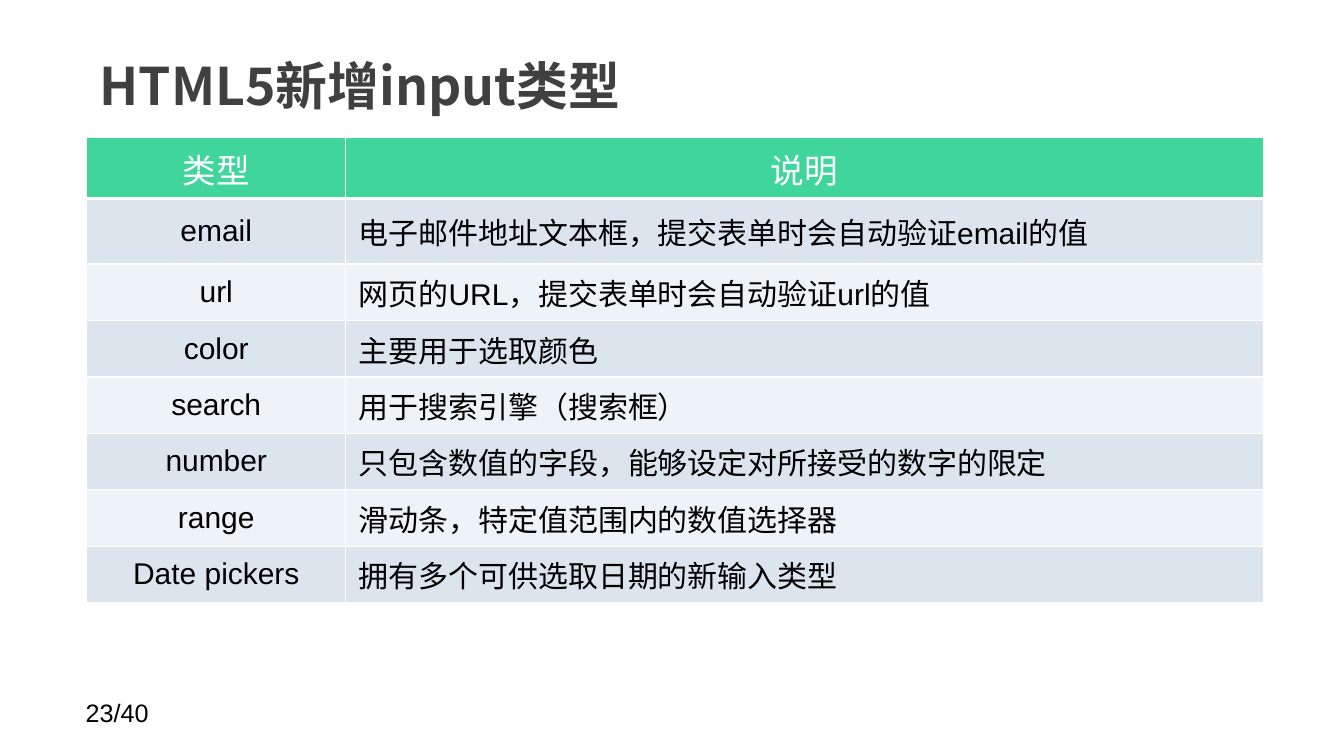
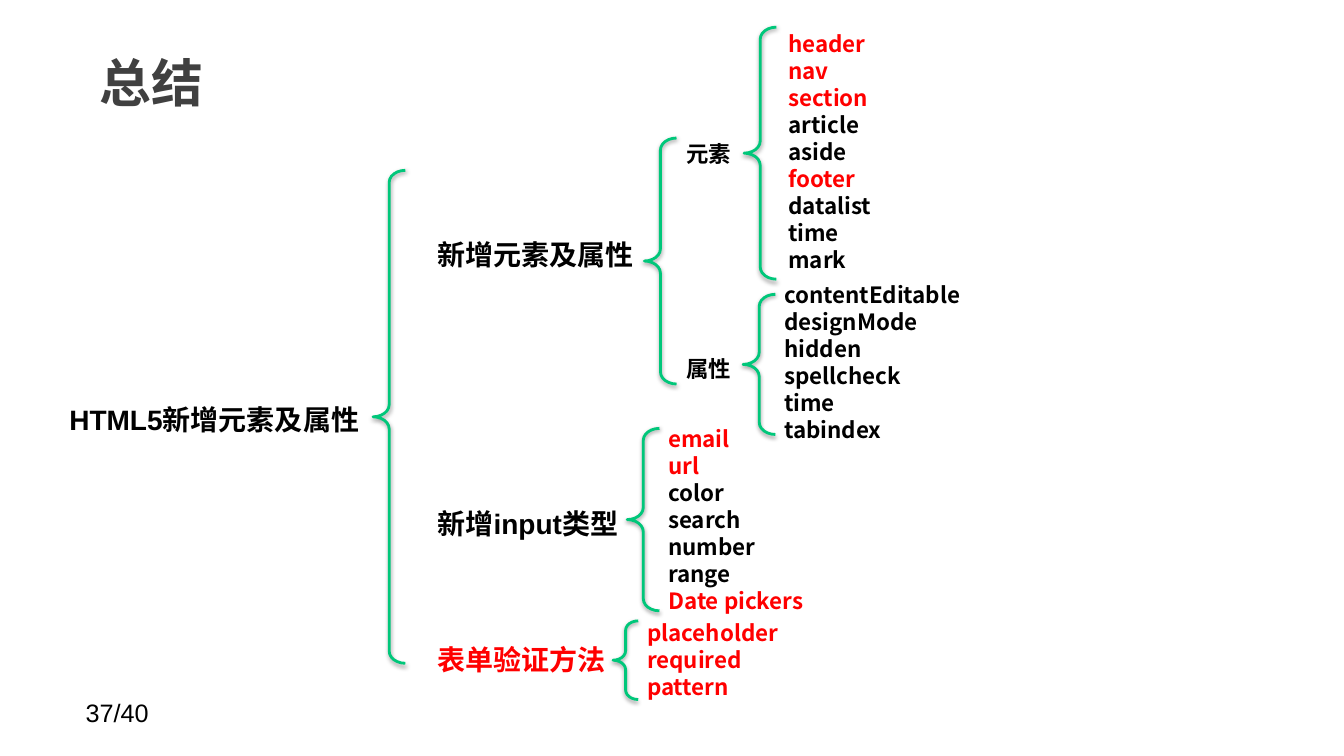
from lxml.etree import SubElement
from pptx import Presentation
from pptx.dml.color import RGBColor
from pptx.enum.shapes import MSO_SHAPE
from pptx.enum.text import MSO_ANCHOR, PP_ALIGN
from pptx.oxml.ns import qn
from pptx.util import Inches, Pt

# Shared style
LATIN, CJK = "Arial", "Noto Sans CJK SC"
BLACK, WHITE, RED, GREY = "000000", "FFFFFF", "FF0000", "404040"
GREEN, HEADER_GREEN = "00C77A", "40D59B"
BANDS = ("DCE5EE", "EEF3F7")
TITLE = {"size": Pt(37), "name": CJK, "bold": True, "color": GREY}
FOOTER = {"size": Pt(18), "name": LATIN, "color": BLACK}
TABLE_HEAD = {"size": Pt(24), "name": CJK, "color": WHITE}
TABLE_BODY = {"size": Pt(21.4), "name": LATIN, "color": BLACK}
BRANCH = {"size": Pt(20), "name": LATIN, "bold": True, "color": BLACK}
GROUP = {"size": Pt(16), "name": LATIN, "bold": True, "color": BLACK}
LEAF = {"size": Pt(16), "name": CJK, "bold": True, "color": BLACK}
LINE_HEIGHTS = {Pt(20): Pt(24), Pt(16): Pt(19.3)}

# Slide content
INPUT_TYPES = [
    ("类型", "说明"),
    ("email", "电子邮件地址文本框，提交表单时会自动验证email的值"),
    ("url", "网页的URL，提交表单时会自动验证url的值"),
    ("color", "主要用于选取颜色"),
    ("search", "用于搜索引擎（搜索框）"),
    ("number", "只包含数值的字段，能够设定对所接受的数字的限定"),
    ("range", "滑动条，特定值范围内的数值选择器"),
    ("Date pickers", "拥有多个可供选取日期的新输入类型"),
]
KEY_POINTS = {"header", "nav", "section", "footer", "email", "url", "Date pickers",
              "表单验证方法", "placeholder", "required", "pattern"}
LABELS = [  # left, top, width, style, text
    (0.48, 3.94, 3.29, BRANCH, "HTML5新增元素及属性"),
    (4.24, 2.31, 2.4, BRANCH, "新增元素及属性"),
    (4.24, 4.98, 2.4, BRANCH, "新增input类型"),
    (4.24, 6.32, 2.4, BRANCH, "表单验证方法"),
    (6.71, 1.34, 0.8, GROUP, "元素"),
    (6.71, 3.47, 0.8, GROUP, "属性"),
]
LEAVES = [  # left, top, items
    (7.72, 0.25, "header,nav,section,article,aside,footer,datalist,time,mark"),
    (7.68, 2.74, "contentEditable,designMode,hidden,spellcheck,time,tabindex"),
    (6.53, 4.17, "email,url,color,search,number,range,Date pickers"),
    (6.32, 6.09, "placeholder,required,pattern"),
]
BRACES = [  # left, top, width, height
    (3.7, 1.69, 0.32, 4.89),
    (6.39, 1.37, 0.32, 2.44),
    (7.38, 0.27, 0.32, 2.5),
    (7.37, 2.92, 0.32, 1.39),
    (6.22, 4.25, 0.32, 1.81),
    (6.08, 6.16, 0.25, 0.78),
]


def rgb(value):
    return RGBColor.from_string(value)


def set_attributes(target, values):
    for name, value in values.items():
        setattr(target, name, value)


class Deck:
    def __init__(self):
        self.presentation = Presentation()
        self.presentation.slide_width = Inches(13.33)
        self.presentation.slide_height = Inches(7.5)
        self.slide = None

    def add_slide(self, title, title_top, page):
        self.slide = self.presentation.slides.add_slide(self.presentation.slide_layouts[6])
        self.add_text((0.75, 6.87, 2.33, 0.4), [page], FOOTER)
        frame = self.add_text((0.86, title_top, 10.41, 1.03), [title], TITLE)
        set_attributes(frame, {
            "vertical_anchor": MSO_ANCHOR.MIDDLE,
            "margin_left": Inches(0.13), "margin_right": Inches(0.13),
            "margin_top": Inches(0.06), "margin_bottom": Inches(0.06)})

    def fill_paragraph(self, paragraph, text, style, align=PP_ALIGN.LEFT):
        paragraph.alignment = align
        in_tree = style["size"] in LINE_HEIGHTS
        if in_tree:
            paragraph.line_spacing = LINE_HEIGHTS[style["size"]]
        run = paragraph.add_run()
        run.text = text
        set_attributes(run.font, {name: value for name, value in style.items()
                                  if name != "color"})
        run.font.color.rgb = rgb(RED if in_tree and text in KEY_POINTS
                                 else style["color"])
        # East Asian characters take their own typeface
        SubElement(run.font._element, qn("a:ea"), typeface=CJK)

    def add_text(self, box, lines, style, align=PP_ALIGN.LEFT):
        frame = self.slide.shapes.add_textbox(*map(Inches, box)).text_frame
        frame.word_wrap = True
        for index, line in enumerate(lines):
            paragraph = frame.add_paragraph() if index else frame.paragraphs[0]
            self.fill_paragraph(paragraph, line, style, align)
        return frame

    def add_brace(self, box):
        shape = self.slide.shapes.add_shape(MSO_SHAPE.LEFT_BRACE, *map(Inches, box))
        shape.adjustments[0] = 0.376
        shape.adjustments[1] = 0.5
        shape.fill.background()
        shape.line.color.rgb = rgb(GREEN)
        shape.line.width = Pt(2)
        # Soft shadow below the line
        shape.shadow.inherit = False
        effects = shape._element.spPr.find(qn("a:effectLst"))
        shadow = SubElement(effects, qn("a:outerShdw"), blurRad=str(Pt(3.1)),
                            dist=str(Pt(1.6)), dir="5400000", rotWithShape="0")
        color = SubElement(shadow, qn("a:srgbClr"), val=BLACK)
        SubElement(color, qn("a:alpha"), val="38000")

    def set_borders(self, cell, widths):
        properties = cell._tc.get_or_add_tcPr()
        for side, width in widths.items():
            line = SubElement(properties, qn(f"a:ln{side}"), w=str(Pt(width)))
            fill = SubElement(line, qn("a:solidFill"))
            SubElement(fill, qn("a:srgbClr"), val=WHITE)

    def add_table(self, box, rows, widths, heights):
        table = self.slide.shapes.add_table(len(rows), len(widths),
                                            *map(Inches, box)).table
        for column, width in zip(table.columns, widths):
            column.width = Inches(width)
        for row_index, (texts, height) in enumerate(zip(rows, heights)):
            table.rows[row_index].height = Inches(height)
            is_head = row_index == 0
            for column_index, text in enumerate(texts):
                cell = table.cell(row_index, column_index)
                set_attributes(cell, {
                    "margin_left": Inches(0.13), "margin_right": Inches(0.13),
                    "margin_top": Inches(0.07), "margin_bottom": Inches(0.07),
                    "vertical_anchor": MSO_ANCHOR.TOP if is_head else MSO_ANCHOR.MIDDLE})
                self.set_borders(cell, {"L": 1, "R": 1, "T": 3 if row_index == 1 else 1,
                                        "B": 3 if is_head else 1})
                cell.fill.solid()
                cell.fill.fore_color.rgb = rgb(HEADER_GREEN if is_head
                                               else BANDS[(row_index - 1) % 2])
                centred = is_head or column_index == 0
                self.fill_paragraph(cell.text_frame.paragraphs[0], text,
                                    TABLE_HEAD if is_head else TABLE_BODY,
                                    PP_ALIGN.CENTER if centred else PP_ALIGN.LEFT)


def main():
    deck = Deck()

    # Table of input types
    deck.add_slide("HTML5新增input类型", 0.33, "23/40")
    deck.add_table((0.86, 1.36, 11.67, 4.62), INPUT_TYPES,
                   (2.57, 9.1), [0.61, 0.65] + [0.56] * 6)

    # Summary tree
    deck.add_slide("总结", 0.3, "37/40")
    for left, top, width, style, text in LABELS:
        align = PP_ALIGN.CENTER if left < 1 else PP_ALIGN.LEFT
        deck.add_text((left, top, width, 0.44), [text], style, align)
    for left, top, items in LEAVES:
        lines = items.split(",")
        deck.add_text((left, top, 2.22, 0.1 + 0.27 * len(lines)), lines, LEAF)
    for box in BRACES:
        deck.add_brace(box)

    deck.presentation.save("out.pptx")


if __name__ == "__main__":
    main()
